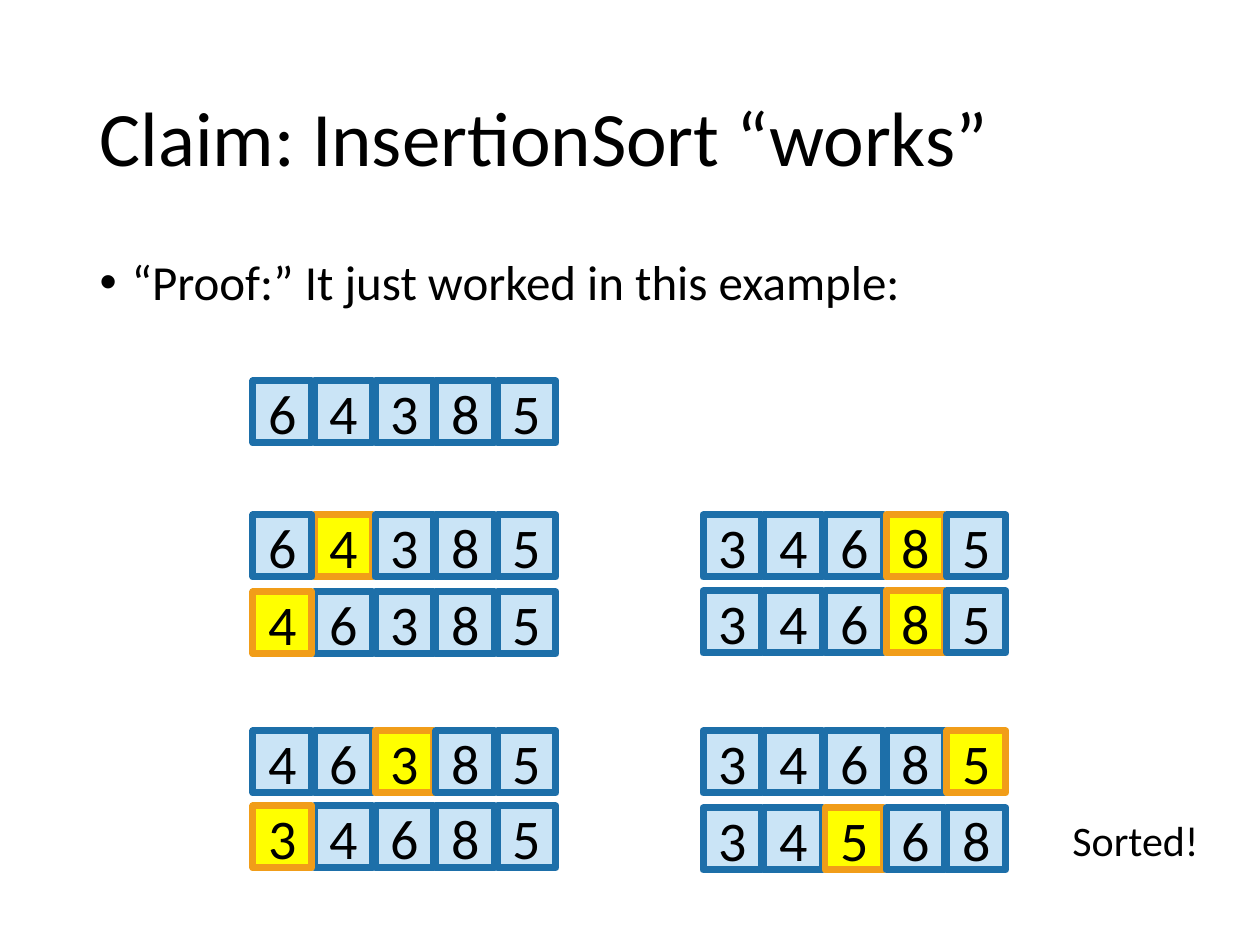
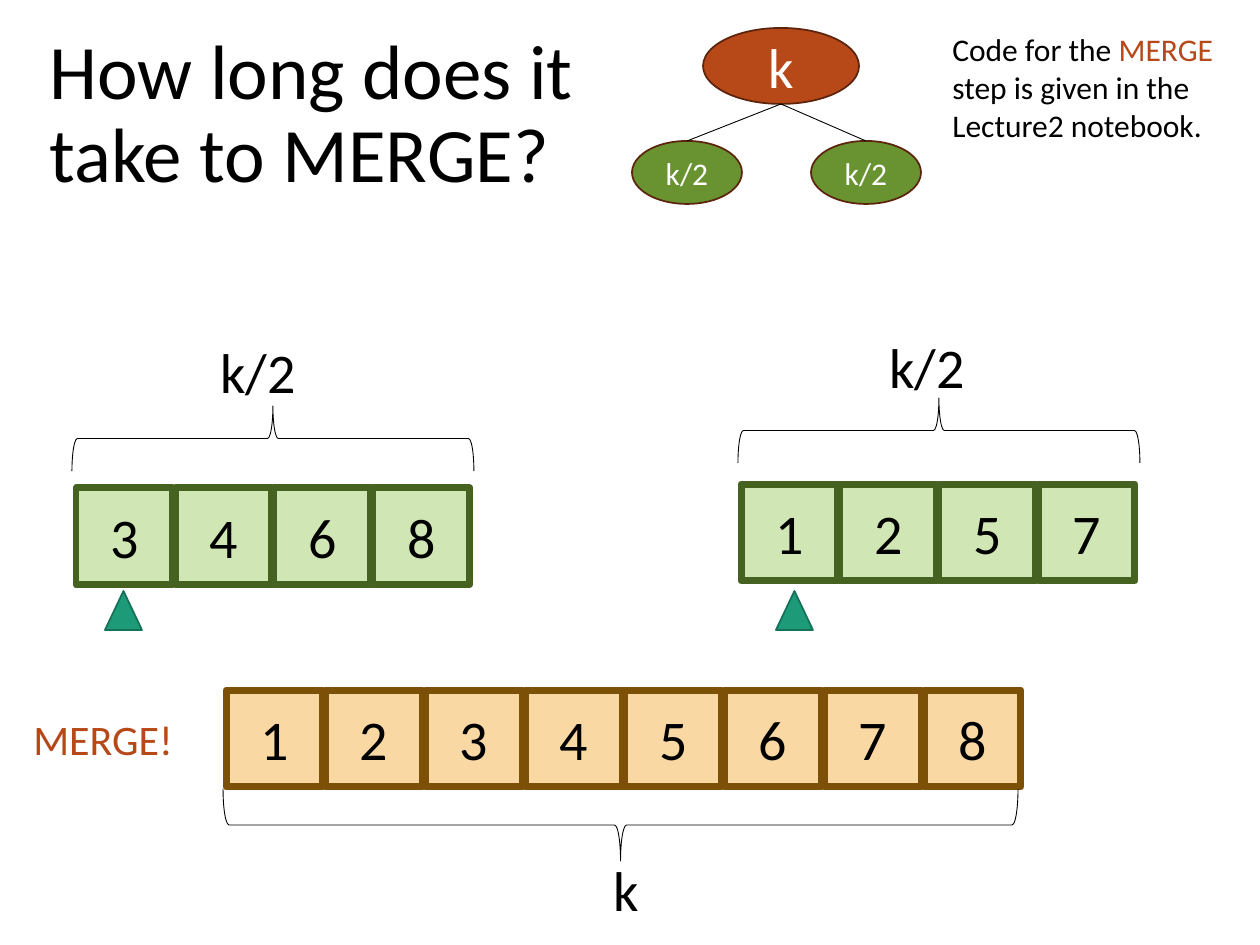
from lxml import etree
from pptx import Presentation
from pptx.dml.color import RGBColor
from pptx.enum.shapes import MSO_CONNECTOR, MSO_SHAPE
from pptx.enum.text import MSO_ANCHOR, MSO_AUTO_SIZE, PP_ALIGN
from pptx.oxml.ns import qn
from pptx.util import Pt

EMU_PER_PX = 914400 / 126
FONT = "Calibri"
BLACK, WHITE, RUST, BARK, LEAF = "000000", "FFFFFF", "B74919", "5C240C", "699331"
BLUE_CELL = ("CAE4F6", "1D6FA9")
ACTIVE_CELL = ("FFFF00", "F19D19")
GREEN_CELL = ("D1E6B5", "466221")
ORANGE_CELL = ("F9D8A3", "7D5008")
POINTER = ("1D9A78", "157259")
LEFT, CENTER = PP_ALIGN.LEFT, PP_ALIGN.CENTER
TOP, MIDDLE = MSO_ANCHOR.TOP, MSO_ANCHOR.MIDDLE
NO_FIT, GROW = MSO_AUTO_SIZE.NONE, MSO_AUTO_SIZE.SHAPE_TO_FIT_TEXT
RECT, OVAL, TRIANGLE, BRACE = (MSO_SHAPE.RECTANGLE, MSO_SHAPE.OVAL,
                               MSO_SHAPE.ISOSCELES_TRIANGLE, MSO_SHAPE.RIGHT_BRACE)
STRAIGHT = MSO_CONNECTOR.STRAIGHT
TITLE_AND_BODY, TITLE_ONLY = 1, 5


def px(*lengths):
    return [round(length * EMU_PER_PX) for length in lengths]


def rgb(color):
    return RGBColor.from_string(color)


def write(frame, text, size=32, color=BLACK, align=LEFT, anchor=TOP, fit=NO_FIT, spacing=1.0):
    """Fill a frame with one paragraph; text is a string or (string, colour) runs."""
    frame.word_wrap = True
    frame.auto_size = fit
    frame.vertical_anchor = anchor
    paragraph = frame.paragraphs[0]
    paragraph.alignment = align
    paragraph.line_spacing = spacing
    paragraph.space_before = Pt(0)
    for words, run_color in [(text, color)] if isinstance(text, str) else text:
        run = paragraph.add_run()
        run.text = words
        run.font.name = FONT
        run.font.size = Pt(size)
        run.font.color.rgb = rgb(run_color)
    return paragraph


def fill_placeholder(placeholder, box, text, **style):
    placeholder.left, placeholder.top, placeholder.width, placeholder.height = px(*box)
    return write(placeholder.text_frame, text, spacing=0.9, **style)


def add_title(slide, box, text):
    fill_placeholder(slide.shapes.title, box, text, size=44, anchor=MIDDLE)


def add_label(shapes, box, text, **style):
    write(shapes.add_textbox(*px(*box)).text_frame, text, fit=GROW, **style)


def add_figure(shapes, kind, box, fill, line, weight=1.0):
    figure = shapes.add_shape(kind, *px(*box))
    figure.shadow.inherit = False
    if fill:
        figure.fill.solid()
        figure.fill.fore_color.rgb = rgb(fill)
    else:
        figure.fill.background()
    figure.line.color.rgb = rgb(line)
    figure.line.width = Pt(weight)
    return figure


def add_branch(shapes, start, end):
    branch = shapes.add_connector(STRAIGHT, *px(*start, *end))
    branch.line.color.rgb = rgb(BLACK)
    branch.line.width = Pt(0.5)
    etree.SubElement(branch._element.spPr, qn("a:effectLst"))


def add_brace(shapes, box, rotation):
    """Lay a brace over a wide box; rotation 270 points up and 90 points down."""
    x, y, width, height = box
    upright = (x + (width - height) / 2, y + (height - width) / 2, height, width)
    add_figure(shapes, BRACE, upright, None, BLACK, 0.5).rotation = rotation


def add_array(shapes, box, values, cell_width, colors, active=None):
    """Spread one cell per digit over the box; the second cell lies at the back."""
    x, y, width, height = box
    pitch = (width - cell_width) / (len(values) - 1)
    for i in [1, 0, *range(2, len(values))]:
        fill, line = ACTIVE_CELL if i == active else colors
        cell = add_figure(shapes, RECT, (x + i * pitch, y, cell_width, height), fill, line, 4)
        write(cell.text_frame, values[i], align=CENTER, anchor=MIDDLE)


def add_sorted_half(shapes, origin, values, brace_at, label_at, pointer_at):
    """Draw half of the input with its brace, length and pointer, placed from origin."""
    x, y = origin

    def place(offset, *size):
        return (x + offset[0], y + offset[1], *size)

    add_array(shapes, (x, y, 394, 97), values, 97, GREEN_CELL)
    add_brace(shapes, place(brace_at, 402, 65), 270)
    add_label(shapes, place(label_at, 132, 81), "k/2")
    add_figure(shapes, TRIANGLE, place(pointer_at, 37, 39), *POINTER)


def add_merge_tree(shapes, x, y):
    tree = shapes.add_group_shape().shapes
    nodes = [((71, 0, 156, 76), "k", 32, RUST),
             ((0, 113, 110, 63), "k/2", 18, LEAF),
             ((179, 113, 110, 63), "k/2", 18, LEAF)]
    for (left, top, width, height), text, size, fill in nodes:
        node = add_figure(tree, OVAL, (x + left, y + top, width, height), fill, BARK)
        write(node.text_frame, text, size=size, color=WHITE, align=CENTER, anchor=MIDDLE)
    for child_center in (55, 234):
        add_branch(tree, (x + child_center, y + 113), (x + 149, y + 76))


def add_sorting_trace(shapes, x, y):
    """Draw each state of the array; the active digit is the one being inserted."""
    trace = shapes.add_group_shape().shapes
    states = [(0, 0, "64385", None),
              (0, 134, "64385", 1), (0, 211, "46385", 0),
              (0, 350, "46385", 2), (0, 425, "34685", 0),
              (450, 134, "34685", 3), (450, 210, "34685", 3),
              (450, 350, "34685", 4), (450, 427, "34568", 2)]
    for left, top, values, active in states:
        add_array(trace, (x + left, y + top, 303, 62), values, 59, BLUE_CELL, active)


def build_claim_slide(deck):
    slide = deck.slides.add_slide(deck.slide_layouts[TITLE_AND_BODY])
    add_title(slide, (87, 50, 1086, 183), "Claim: InsertionSort “works”")
    proof = fill_placeholder(slide.placeholders[1], (87, 252, 1086, 600),
                             "“Proof:” It just worked in this example:", size=28)
    indent = px(32)[0]
    proof._p.get_or_add_pPr().set("marL", str(indent))
    proof._p.get_or_add_pPr().set("indent", str(-indent))
    add_sorting_trace(slide.shapes, 253, 381)
    add_label(slide.shapes, (1060, 808, 163, 63), "Sorted!", size=24)


def build_merge_slide(deck):
    slide = deck.slides.add_slide(deck.slide_layouts[TITLE_ONLY])
    shapes = slide.shapes
    add_title(slide, (37, 0, 677, 232), "How long does it take to MERGE?")
    add_merge_tree(shapes, 703 - 71, 28)
    add_label(shapes, (940, 24, 290, 127),
              [("Code for the ", BLACK), ("MERGE", RUST),
               (" step is given in the Lecture2 notebook.", BLACK)], size=18)
    add_sorted_half(shapes, (76, 488), "3468", (-4, -82), (132, -157), (29, 103))
    add_sorted_half(shapes, (741, 484), "1257", (-3, -86), (136, -158), (35, 107))
    add_label(shapes, (21, 707, 192, 63), "MERGE!", size=24, color=RUST)
    add_array(shapes, (226, 690, 795, 97), "12345678", 97, ORANGE_CELL)
    add_brace(shapes, (223, 789, 795, 72), 90)
    add_label(shapes, (601, 849, 132, 81), "k")


def main():
    deck = Presentation()
    deck.slide_width, deck.slide_height = px(1260, 945)
    build_claim_slide(deck)
    build_merge_slide(deck)
    deck.save("out.pptx")


if __name__ == "__main__":
    main()
